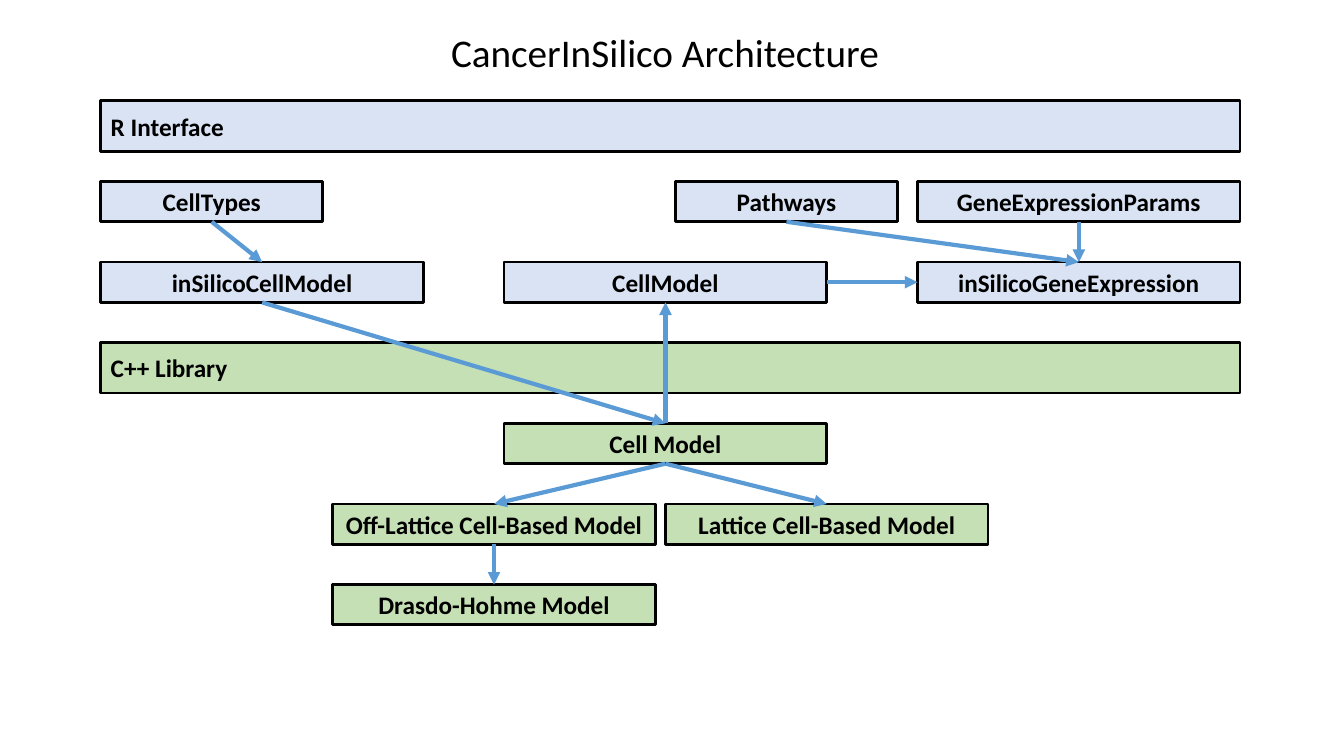
from lxml.etree import SubElement
from pptx import Presentation
from pptx.dml.color import RGBColor
from pptx.enum.shapes import MSO_CONNECTOR, MSO_SHAPE
from pptx.enum.text import MSO_ANCHOR, PP_ALIGN
from pptx.oxml.ns import qn
from pptx.util import Inches, Pt

BLACK, BLUE, GREEN, ARROW = "000000", "DAE3F3", "C5E0B4", "5B9BD5"
TOP, LEFT, BOTTOM, RIGHT = range(4)
BAR_H, NODE_H, ROW_STEP = 0.5, 0.4, 0.8
WIDE, NARROW = 3.2, 2.2


def color(value):
    return RGBColor.from_string(value)


def write(sp, text, size=18, bold=True, align=PP_ALIGN.CENTER, wrap=True):
    tf = sp.text_frame
    tf.word_wrap = wrap
    tf.vertical_anchor = MSO_ANCHOR.MIDDLE
    p = tf.paragraphs[0]
    p.alignment = align
    r = p.add_run()
    r.text = text
    r.font.name = "Calibri"
    r.font.size = Pt(size)
    r.font.bold = bold
    r.font.color.rgb = color(BLACK)


def add_box(s, text, x, y, w, h, fill, **fmt):
    sp = s.shapes.add_shape(
        MSO_SHAPE.RECTANGLE, Inches(x), Inches(y), Inches(w), Inches(h))
    sp.shadow.inherit = False
    sp.fill.solid()
    sp.fill.fore_color.rgb = color(fill)
    sp.line.color.rgb = color(BLACK)
    sp.line.width = Pt(2)
    write(sp, text, **fmt)
    return sp


def add_arrow(s, start, start_site, end, end_site):
    cxn = s.shapes.add_connector(MSO_CONNECTOR.STRAIGHT, 0, 0, 0, 0)
    cxn.begin_connect(start, start_site)
    cxn.end_connect(end, end_site)
    cxn.line.color.rgb = color(ARROW)
    cxn.line.width = Pt(3)
    ln = cxn.line._get_or_add_ln()
    SubElement(ln, qn("a:tailEnd"), type="triangle")
    SubElement(cxn._element.spPr, qn("a:effectLst"))


def add_title(s, x, y, w, h):
    sp = s.shapes.add_textbox(Inches(x), Inches(y), Inches(w), Inches(h))
    write(sp, "CancerInSilico Architecture", size=28, bold=False, wrap=False)


def add_layer(s, name, nodes, fill, x, y, w):
    add_box(s, name, x, y, w, BAR_H, fill, align=PP_ALIGN.LEFT)
    first_row = y + BAR_H + 0.3
    return {
        text: add_box(s, text, x + dx, first_row + row * ROW_STEP,
                      node_w, NODE_H, fill)
        for text, dx, row, node_w in nodes
    }


def add_r_interface(s, x, y, w):
    right = w - WIDE
    nodes = [
        ("CellTypes", 0, 0, NARROW),
        ("Pathways", right - 0.2 - NARROW, 0, NARROW),
        ("GeneExpressionParams", right, 0, WIDE),
        ("inSilicoCellModel", 0, 1, WIDE),
        ("CellModel", 4, 1, WIDE),
        ("inSilicoGeneExpression", right, 1, WIDE),
    ]
    return add_layer(s, "R Interface", nodes, BLUE, x, y, w)


def add_cpp_library(s, x, y, w):
    nodes = [
        ("Cell Model", 4, 0, WIDE),
        ("Off-Lattice Cell-Based Model", 2.3, 1, WIDE),
        ("Lattice Cell-Based Model", 2.3 + WIDE + 0.1, 1, WIDE),
        ("Drasdo-Hohme Model", 2.3, 2, WIDE),
    ]
    return add_layer(s, "C++ Library", nodes, GREEN, x, y, w)


def add_flow(s, nodes):
    flow = [
        ("CellTypes", BOTTOM, "inSilicoCellModel", TOP),
        ("inSilicoCellModel", BOTTOM, "Cell Model", TOP),
        ("Cell Model", TOP, "CellModel", BOTTOM),
        ("Cell Model", BOTTOM, "Off-Lattice Cell-Based Model", TOP),
        ("Cell Model", BOTTOM, "Lattice Cell-Based Model", TOP),
        ("Off-Lattice Cell-Based Model", BOTTOM, "Drasdo-Hohme Model", TOP),
        ("CellModel", RIGHT, "inSilicoGeneExpression", LEFT),
        ("Pathways", BOTTOM, "inSilicoGeneExpression", TOP),
        ("GeneExpressionParams", BOTTOM, "inSilicoGeneExpression", TOP),
    ]
    for start, start_site, end, end_site in flow:
        add_arrow(s, nodes[start], start_site, nodes[end], end_site)


prs = Presentation()
prs.slide_width, prs.slide_height = Inches(13.33), Inches(7.5)
s = prs.slides.add_slide(prs.slide_layouts[6])
add_title(s, 4.35, 0.23, 4.49, 0.57)
r_nodes = add_r_interface(s, 1, 1, 11.3)
cpp_nodes = add_cpp_library(s, 1, 3.4, 11.3)
add_flow(s, {**r_nodes, **cpp_nodes})
prs.save("out.pptx")
